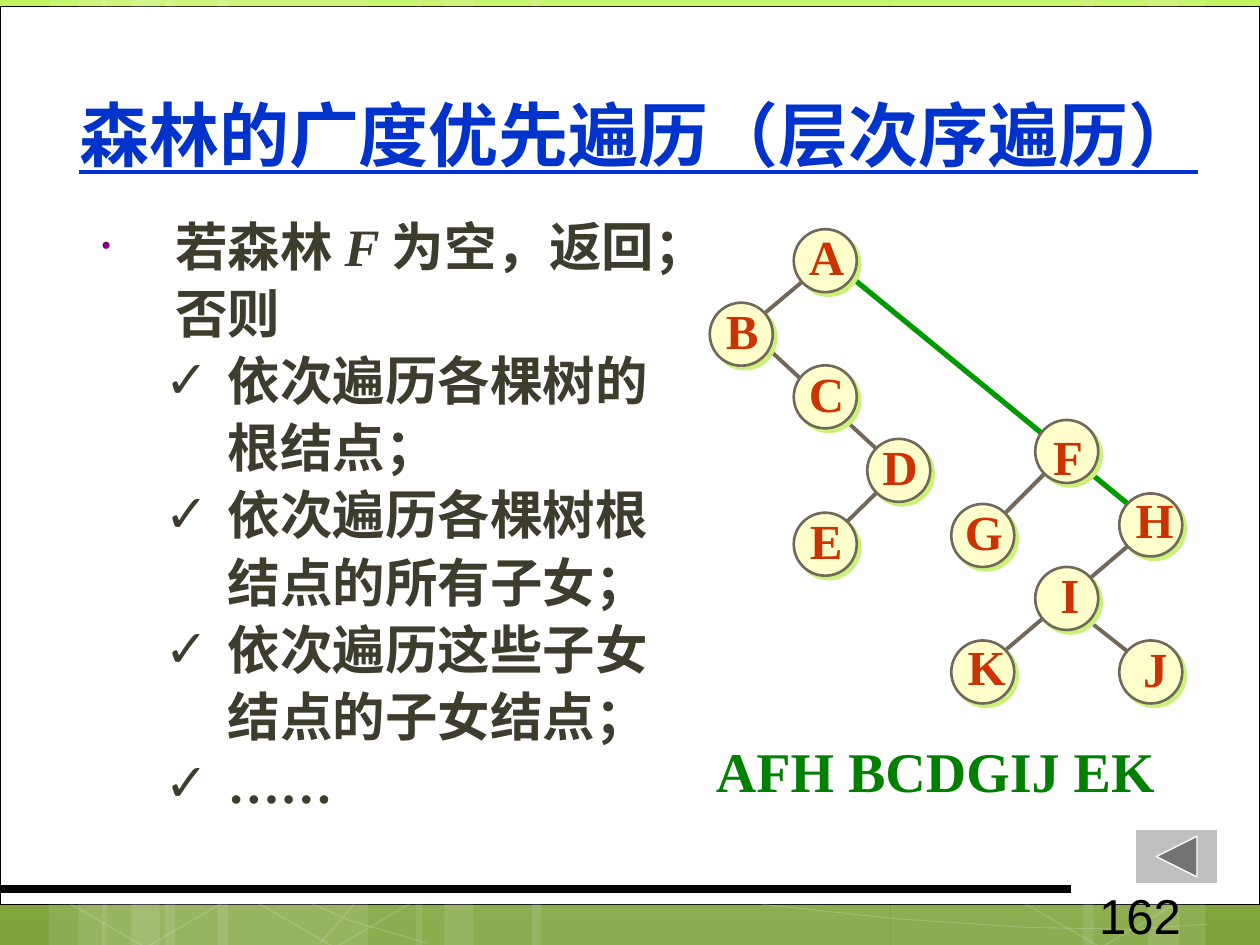
import copy
from dataclasses import dataclass

import pptx
import pptx.util
from lxml import etree
from pptx.dml.color import RGBColor
from pptx.enum.shapes import MSO_CONNECTOR, MSO_SHAPE
from pptx.enum.text import MSO_ANCHOR, MSO_AUTO_SIZE, PP_ALIGN
from pptx.oxml.ns import qn

Pt = pptx.util.Pt


@dataclass(frozen=True)
class Theme:
    sky: tuple = ((0, "C2F35F"), (0.62, "92BE3F"), (1, "80A33D"))
    white: str = "FFFFFF"
    black: str = "000000"
    title: str = "0033CC"
    body: str = "3E3D2D"
    bullet: str = "800080"
    order: str = "008000"
    root_edge: str = "009900"
    branch: str = "71685A"
    node: str = "FFFFCC"
    node_shadow: str = "CAF278"
    label: str = "CC3300"
    button: str = "C0C0C0"
    heading_font: str = "League Spartan"
    serif: str = "Times New Roman"
    sans: str = "Arial"
    title_size: int = 40
    order_size: int = 32
    body_size: int = 30
    small_size: int = 28


THEME = Theme()

# name: circle left, top, label offset x, y, label width
NODES = {
    "A": (453.6, 131, 1.4, -5, 34.6),
    "B": (405.6, 173, 2, -5, 33),
    "C": (453.6, 208.8, 1.4, -5, 34.6),
    "D": (495.6, 250.8, 1.4, -5, 34.6),
    "E": (453.6, 293, 2, -5, 33),
    "F": (591.6, 240, 2.9, 0, 31.6),
    "G": (543.6, 288, 0.7, -5, 36),
    "H": (639.6, 282, 2.2, -6.2, 36),
    "I": (591.6, 324, 7.2, -5, 25.2),
    "K": (543.6, 366, 2.2, -5.8, 36),
    "J": (639.6, 366, 6.2, -4.6, 28.8),
}
BRANCHES = [
    (507.6, 275, 477.4, 304.6), (429.8, 190.8, 507.6, 262.8),
    (465.8, 154.8, 429.8, 185), (621.4, 354.2, 651.6, 378),
    (651.6, 306, 573.8, 372.2), (603.4, 264.2, 567.4, 300.2),
]
STEPS = [("依次遍历各棵树的", "根结点；"), ("依次遍历各棵树根", "结点的所有子女；"),
         ("依次遍历这些子女", "结点的子女结点；"), ("……",)]


def rgb(code):
    return RGBColor.from_string(code)


def set_alpha(properties, percent):
    for color in properties.iter(qn("a:srgbClr")):
        etree.SubElement(color, qn("a:alpha")).set("val", str(percent * 1000))


def add_shape(slide, kind, box, fill=None, line=None, width=1):
    shape = slide.shapes.add_shape(kind, *map(Pt, box))
    return paint(shape, fill, line, width)


def paint(shape, fill=None, line=None, width=1):
    shape.shadow.inherit = False
    if fill:
        shape.fill.solid()
        shape.fill.fore_color.rgb = rgb(fill)
    else:
        shape.fill.background()
    if line:
        shape.line.color.rgb = rgb(line)
        shape.line.width = Pt(width)
    else:
        shape.line.fill.background()
    return shape


def add_line(slide, ends, color, width):
    line = slide.shapes.add_connector(MSO_CONNECTOR.STRAIGHT, *map(Pt, ends))
    line.line.color.rgb = rgb(color)
    line.line.width = Pt(width)
    etree.SubElement(line._element.spPr, qn("a:effectLst"))


def add_run(paragraph, text, size, font, color, bold=True, italic=False):
    run = paragraph.add_run()
    run.text = text
    run.font.size, run.font.name = Pt(size), font
    run.font.bold, run.font.italic = bold, italic
    run.font.color.rgb = rgb(color)
    return run


def add_text(slide, box, text, size, font, color, bold=True):
    frame = slide.shapes.add_textbox(*map(Pt, box)).text_frame
    frame.word_wrap = True
    add_run(frame.paragraphs[0], text, size, font, color, bold)
    return frame


def draw_backdrop(slide):
    fill = slide.background.fill
    fill.gradient()
    fill.gradient_angle = 270
    stops = next(slide._element.iter(qn("a:gsLst")))
    stops.insert(1, copy.deepcopy(stops[0]))
    for stop, (position, color) in zip(fill.gradient_stops, THEME.sky):
        stop.position = position
        stop.color.rgb = rgb(color)

    add_shape(slide, MSO_SHAPE.RECTANGLE, (0, 4, 720, 513),
              THEME.white, THEME.black, 0.5)
    for left, width in [(94.3, 116), (28, 33), (44.6, 55.4), (124.6, 116.6),
                        (58.3, 33), (75, 55.4), (509, 116), (656, 33),
                        (619, 55), (304, 204.5), (237.6, 33), (254, 55.4)]:
        bar = add_shape(slide, MSO_SHAPE.RECTANGLE, (left, 0, width, 540), THEME.white)
        set_alpha(bar._element.spPr, 10)
    for points in [[(26, 444), (138, 499), (200, 526), (244, 539)],
                   [(26, 416), (107, 443), (258, 485), (438, 517), (512, 525),
                    (588, 530), (649, 531), (690, 528)],
                   [(183, 539), (202, 517), (222, 497), (279, 460), (333, 438),
                    (425, 416), (473, 410), (549, 405), (610, 404), (689, 407)]]:
        builder = slide.shapes.build_freeform(*points[0], scale=Pt(1))
        builder.add_line_segments(points[1:], close=False)
        curve = paint(builder.convert_to_shape(), line=THEME.white, width=0.5)
        set_alpha(curve._element.spPr, 20)
    for left in (29.5, 137.5, 575.3):
        hexagon = add_shape(slide, MSO_SHAPE.HEXAGON, (left, 426, 116, 109.4),
                            line=THEME.white)
        hexagon.adjustments[0] = 0.285
        hexagon.rotation = 30
        set_alpha(hexagon._element.spPr, 12)
    add_line(slide, (0, 508, 612, 508), THEME.black, 4.5)


def fill_title(slide, box, text):
    title = slide.shapes.title
    # The placeholder comes first in the tree; bring it in front of the backdrop.
    slide.shapes._spTree.append(title._element)
    title.left, title.top, title.width, title.height = map(Pt, box)
    frame = title.text_frame
    frame.margin_left = frame.margin_right = frame.margin_top = frame.margin_bottom = 0
    frame.vertical_anchor, frame.word_wrap = MSO_ANCHOR.MIDDLE, False
    frame.auto_size = MSO_AUTO_SIZE.NONE
    frame.paragraphs[0].alignment = PP_ALIGN.CENTER
    run = add_run(frame.paragraphs[0], text, THEME.title_size,
                  THEME.heading_font, THEME.title)
    run.font.underline = True


def draw_steps(slide, box):
    frame = slide.shapes.add_textbox(*map(Pt, box)).text_frame
    frame.word_wrap = True
    unused = [frame.paragraphs[0]]

    def add_item(parts, margin, hanging=0, bullet=None, color=None, percent=100):
        paragraph = unused.pop() if unused else frame.add_paragraph()
        paragraph.line_spacing, paragraph.space_before = 0.9, Pt(6)
        props = paragraph._p.get_or_add_pPr()
        props.set("marL", str(Pt(margin)))
        props.set("indent", str(Pt(-hanging)))
        if bullet:
            bullet_color = etree.SubElement(props, qn("a:buClr"))
            etree.SubElement(bullet_color, qn("a:srgbClr")).set("val", color)
            etree.SubElement(props, qn("a:buSzPct")).set("val", str(percent * 1000))
            etree.SubElement(props, qn("a:buFont")).set("typeface", THEME.sans)
            etree.SubElement(props, qn("a:buChar")).set("char", bullet)
        for text, italic in parts:
            add_run(paragraph, text, THEME.body_size, THEME.serif, THEME.body,
                    italic=italic)

    add_item([("若森林 ", False), ("F ", True), ("为空，返回；", False)],
             42, 42, "•", THEME.bullet, 50)
    add_item([("否则", False)], 42)
    for first, *rest in STEPS:
        add_item([(first, False)], 72, 36, "✓", THEME.body)
        for text in rest:
            add_item([(text, False)], 72)


def draw_node(slide, name, left, top, dx, dy, label_width):
    circle = add_shape(slide, MSO_SHAPE.OVAL, (left, top, 36, 36),
                       THEME.node, THEME.branch, 1.5)
    effects = circle._element.spPr.find(qn("a:effectLst"))
    shadow = etree.SubElement(effects, qn("a:outerShdw"), dist=str(Pt(2.8)),
                              dir="2700000", algn="ctr", rotWithShape="0")
    etree.SubElement(shadow, qn("a:srgbClr")).set("val", THEME.node_shadow)
    frame = add_text(slide, (left + dx, top + dy, label_width, 41), name,
                     THEME.small_size, THEME.serif, THEME.label)
    frame.word_wrap, frame.vertical_anchor = False, MSO_ANCHOR.MIDDLE
    frame.paragraphs[0].alignment = PP_ALIGN.CENTER


def draw_forest(slide):
    add_line(slide, (483.8, 156.2, 651.6, 293.8), THEME.root_edge, 3)
    for ends in BRANCHES:
        add_line(slide, ends, THEME.branch, 2.25)
    for name, place in NODES.items():
        draw_node(slide, name, *place)


def main():
    deck = pptx.Presentation()
    deck.slide_width, deck.slide_height = Pt(720), Pt(540)
    slide = deck.slides.add_slide(deck.slide_layouts[5])
    draw_backdrop(slide)
    fill_title(slide, (41, 33, 648, 86.4), "森林的广度优先遍历（层次序遍历）")
    draw_steps(slide, (51, 122.6, 387.4, 363))
    add_text(slide, (621, 502.6, 105, 28.8), "162", THEME.small_size,
             THEME.sans, THEME.black, bold=False)
    add_text(slide, (402, 417.6, 273, 45.4), "AFH BCDGIJ EK",
             THEME.order_size, THEME.serif, THEME.order)
    add_shape(slide, MSO_SHAPE.ACTION_BUTTON_BACK_OR_PREVIOUS,
              (649, 474, 46.8, 31), THEME.button, THEME.white, 0)
    draw_forest(slide)
    deck.save("out.pptx")


if __name__ == "__main__":
    main()
